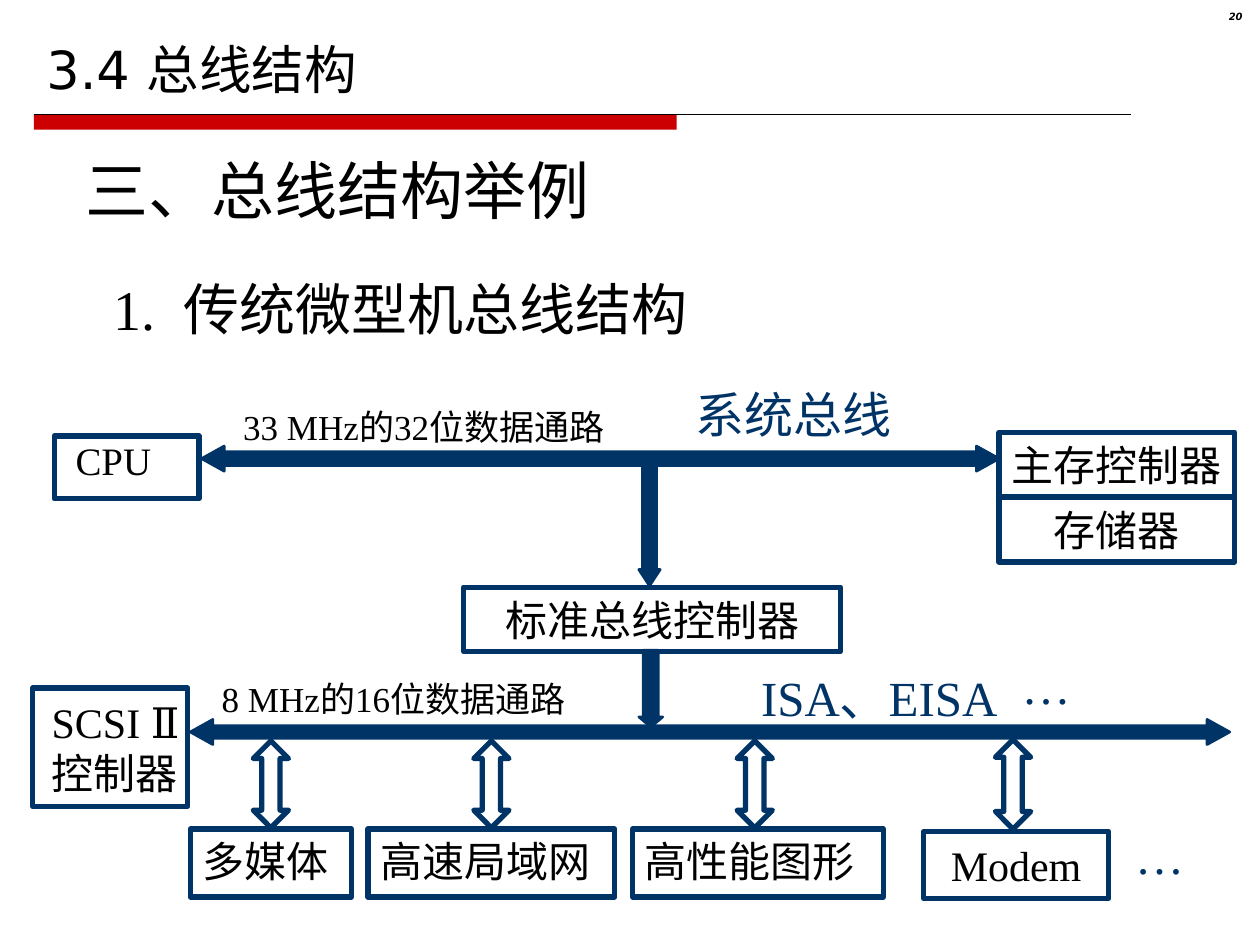
from pptx import Presentation
from pptx.dml.color import RGBColor
from pptx.enum.shapes import MSO_CONNECTOR, MSO_SHAPE
from pptx.enum.text import MSO_ANCHOR, MSO_AUTO_SIZE, PP_ALIGN
from pptx.oxml.ns import qn
from pptx.util import Inches, Pt
from lxml import etree

RECT = MSO_SHAPE.RECTANGLE
DOWN = MSO_SHAPE.DOWN_ARROW
WIDE = MSO_SHAPE.LEFT_RIGHT_ARROW
TALL = MSO_SHAPE.UP_DOWN_ARROW
TOP, MIDDLE, BOTTOM = MSO_ANCHOR.TOP, MSO_ANCHOR.MIDDLE, MSO_ANCHOR.BOTTOM
LEFT, CENTER, RIGHT = PP_ALIGN.LEFT, PP_ALIGN.CENTER, PP_ALIGN.RIGHT
FIT = MSO_AUTO_SIZE.SHAPE_TO_FIT_TEXT
TIMES, CABIN, DEJAVU = "Times New Roman", "Cabin", "DejaVu Sans"
NAVY, RED, BLACK = "003366", "CC0000", "000000"


def color(value):
    return RGBColor.from_string(value)


def write(frame, lines, size, ink=BLACK, align=LEFT, anchor=TOP, insets=(0, 0, 0, 0),
          spacing=1.0):
    """Fill a frame; each line is a list of (text, font name) spans."""
    frame.vertical_anchor = anchor
    (frame.margin_left, frame.margin_top,
     frame.margin_right, frame.margin_bottom) = map(Inches, insets)
    for index, spans in enumerate(lines):
        para = frame.add_paragraph() if index else frame.paragraphs[0]
        para.alignment = align
        para.line_spacing = spacing
        para.font.size = Pt(size)
        para.font.color.rgb = color(ink)
        if len(spans) == 1:
            para.font.name = spans[0][1]
        for text, name in spans:
            span = para.add_run()
            span.text = text
            if len(spans) > 1:
                span.font.name = name


deck = Presentation()
deck.slide_width, deck.slide_height = Inches(10), Inches(7.5)
page = deck.slides.add_slide(deck.slide_layouts[6])
shapes = page.shapes
PADDED = (0.1, 0.05, 0.1, 0.05)

# Title rule
bar = shapes.add_shape(RECT, Inches(0.27), Inches(0.91), Inches(5.1), Inches(0.12))
bar.shadow.inherit = False
bar.fill.solid()
bar.fill.fore_color.rgb = color(RED)
bar.line.fill.background()
rule = shapes.add_connector(MSO_CONNECTOR.STRAIGHT, Inches(0.27), Inches(0.91),
                            Inches(8.98), Inches(0.91))
rule.line.color.rgb = color(BLACK)
rule.line.width = Pt(0.75)
etree.SubElement(rule._element.spPr, qn("a:effectLst"))

# Title and page number
title = shapes.add_textbox(Inches(0.27), Inches(0.13), Inches(9.45), Inches(0.71))
title.text_frame.word_wrap = True
write(title.text_frame, [[("3.4 总线结构", DEJAVU)]], 30, anchor=BOTTOM, insets=PADDED)
number = shapes.add_textbox(Inches(9.37), Inches(0.05), Inches(0.59), Inches(0.23))
number.text_frame.word_wrap = True
write(number.text_frame, [[("20", DEJAVU)]], 5.7, align=RIGHT, insets=PADDED, spacing=0.8)
number_font = number.text_frame.paragraphs[0].font
number_font.bold = number_font.italic = True

# Headings and bus labels
labels = [
    (0.58, 1.15, 4.3, 0.7, [("三、总线结构举例", TIMES)], 36, BLACK, PADDED),
    (0.8, 2.13, 5, 0.64, [("1.  传统微型机总线结构", TIMES)], 32, BLACK, PADDED),
    (1.93, 3.22, 3.2, 0.33, [("33 MHz的32", TIMES), ("位数据通路", CABIN)], 20, BLACK, (0,) * 4),
    (5.52, 3.05, 1.7, 0.47, [("系统总线", CABIN)], 28, NAVY, (0,) * 4),
    (1.76, 5.38, 3.1, 0.33, [("8 MHz的16", TIMES), ("位数据通路", CABIN)], 20, BLACK, (0,) * 4),
    (6.04, 5.3, 2.3, 0.47, [("ISA、EISA", TIMES)], 28, NAVY, (0,) * 4),
    (8.01, 5.15, 0.59, 0.57, [("…", TIMES)], 28, NAVY, PADDED),
    (8.91, 6.5, 0.59, 0.57, [("…", TIMES)], 28, NAVY, PADDED),
]
for left, top, width, height, spans, size, ink, insets in labels:
    label = shapes.add_textbox(Inches(left), Inches(top), Inches(width), Inches(height))
    label.text_frame.word_wrap = True
    label.text_frame.auto_size = FIT
    write(label.text_frame, [spans], size, ink, insets=insets)

# Buses and links: kind, left, top, width, height, shaft and head ratios, solid
arrows = [
    (DOWN, 5.07, 5.16, 0.19, 0.61, 0.63, 0.42, True),
    (DOWN, 5.07, 3.65, 0.17, 1, 0.65, 0.76, True),
    (WIDE, 1.6, 3.54, 6.33, 0.2, 0.55, 0.9, True),
    (WIDE, 1.51, 5.71, 8.25, 0.2, 0.5, 0.9, True),
    (TALL, 7.9, 5.87, 0.28, 0.71, 0.5, 0.52, False),
]
arrows += [(TALL, left, 5.88, 0.28, 0.69, 0.5, 0.52, False) for left in (2.01, 3.76, 5.85)]
for kind, left, top, width, height, shaft, head, solid in arrows:
    arrow = shapes.add_shape(kind, Inches(left), Inches(top), Inches(width), Inches(height))
    arrow.shadow.inherit = False
    arrow.adjustments[0], arrow.adjustments[1] = shaft, head
    arrow.line.color.rgb = color(NAVY)
    arrow.line.width = Pt(1.5 if solid else 3)
    if solid:
        arrow.fill.solid()
        arrow.fill.fore_color.rgb = color(NAVY)
    else:
        arrow.fill.background()

# Units on the buses
units = [
    (0.43, 3.46, 1.15, 0.5, [("CPU", TIMES)], 22.2, LEFT, TOP, 0.17, 0.9),
    (7.93, 3.43, 1.87, 0.52, [("主存控制器", CABIN)], 24, CENTER, MIDDLE, 0, 1.0),
    (7.93, 3.94, 1.87, 0.52, [("存储器", CABIN)], 24, CENTER, MIDDLE, 0, 1.0),
    (3.68, 4.66, 2.99, 0.51, [("标准总线控制器", CABIN)], 24, CENTER, MIDDLE, 0, 1.0),
    (0.26, 5.46, 1.23, 0.94, [("SCSI Ⅱ", TIMES), ("控制器", CABIN)], 24, LEFT, MIDDLE, 0.15, 1.0),
    (1.51, 6.58, 1.28, 0.54, [("多媒体", TIMES)], 24, LEFT, TOP, 0.1, 1.0),
    (2.92, 6.58, 1.96, 0.54, [("高速局域网", TIMES)], 24, LEFT, TOP, 0.1, 1.0),
    (5.02, 6.58, 1.99, 0.54, [("高性能图形", TIMES)], 24, LEFT, TOP, 0.1, 1.0),
    (7.33, 6.6, 1.47, 0.53, [("Modem", TIMES)], 24, CENTER, MIDDLE, 0, 1.0),
]
for left, top, width, height, rows, size, align, anchor, indent, spacing in units:
    unit = shapes.add_shape(RECT, Inches(left), Inches(top), Inches(width), Inches(height))
    unit.shadow.inherit = False
    unit.fill.background()
    unit.line.color.rgb = color(NAVY)
    unit.line.width = Pt(3)
    gap = 0.05 if anchor == TOP else 0
    write(unit.text_frame, [[row] for row in rows], size, align=align, anchor=anchor,
          insets=(indent, gap, 0, gap), spacing=spacing)

deck.save("out.pptx")
